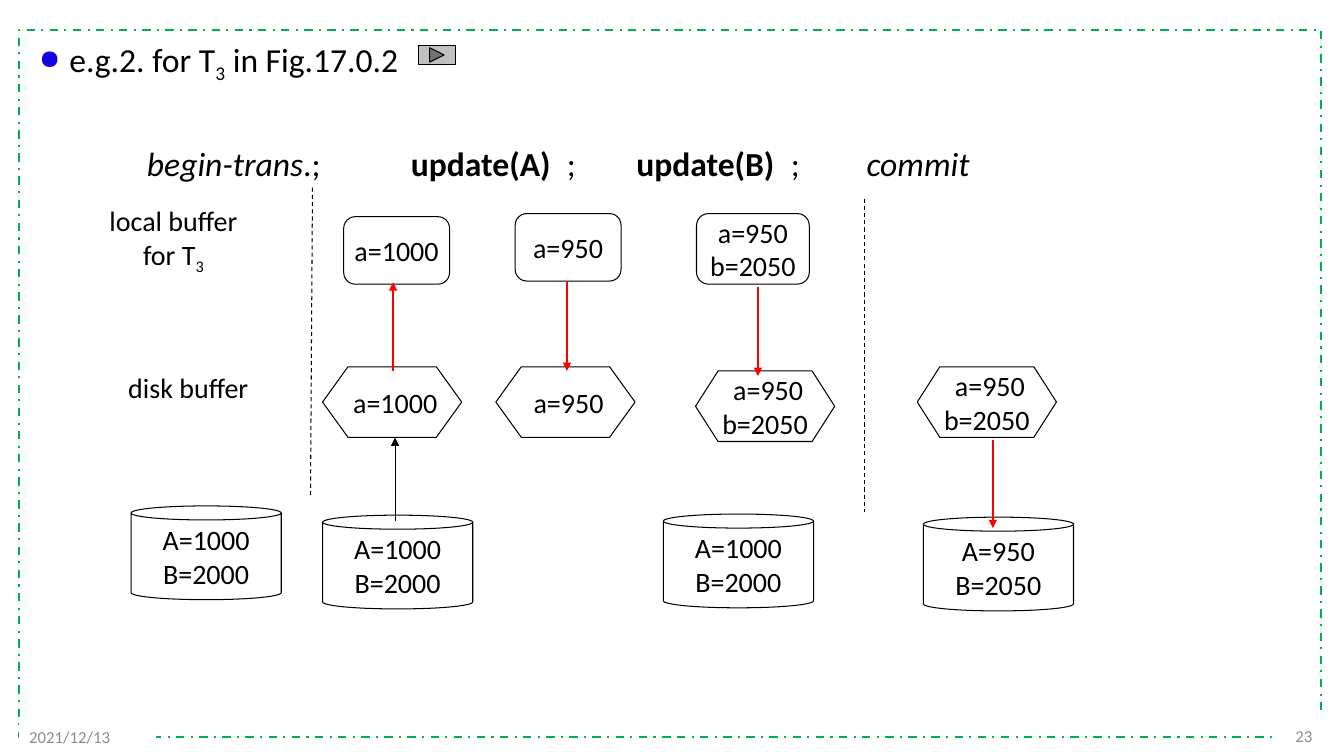
"""Builds a slide tracing the buffers and disk contents of transaction T3."""
from lxml import etree
from pptx import Presentation
from pptx.dml.color import RGBColor
from pptx.enum.dml import MSO_LINE
from pptx.enum.shapes import MSO_CONNECTOR, MSO_SHAPE
from pptx.enum.text import MSO_ANCHOR, PP_ALIGN
from pptx.oxml.ns import qn
from pptx.util import Pt

CAN, HEXAGON, ROUNDED = MSO_SHAPE.CAN, MSO_SHAPE.HEXAGON, MSO_SHAPE.ROUNDED_RECTANGLE
RECTANGLE, FORWARD = MSO_SHAPE.RECTANGLE, MSO_SHAPE.ACTION_BUTTON_FORWARD_OR_NEXT
LEFT, CENTER, RIGHT = PP_ALIGN.LEFT, PP_ALIGN.CENTER, PP_ALIGN.RIGHT
DASH, DASH_DOT = MSO_LINE.DASH, MSO_LINE.DASH_DOT
MIDDLE, TOP = MSO_ANCHOR.MIDDLE, MSO_ANCHOR.TOP
STRAIGHT = MSO_CONNECTOR.STRAIGHT

COLORS = {
    "ink": "000000", "frame": "00B050", "paper": "FFFFFF", "muted": "8C8C8C",
    "bullet": "1404E0", "transfer": "FF0000", "button": "C0C0C0",
}
PLAIN, ITALIC, BOLD, SUB = {}, {"italic": True}, {"bold": True}, {"baseline": "-25000"}

prs = Presentation()
prs.slide_width, prs.slide_height = Pt(960), Pt(540)
slide = prs.slides.add_slide(prs.slide_layouts[6])


def write(holder, lines, size, align=LEFT, color="ink", anchor=TOP, wrap=True):
    """Fill a shape or text box with lines made of (text, format) runs."""
    frame = holder.text_frame
    frame.word_wrap, frame.vertical_anchor = wrap, anchor
    for number, line in enumerate(lines):
        paragraph = frame.paragraphs[0] if number == 0 else frame.add_paragraph()
        paragraph.alignment = align
        for text, extra in line:
            run = paragraph.add_run()
            run.text = text
            run.font.color.rgb = RGBColor.from_string(COLORS[color])
            for key, value in {"name": "Calibri", "size": Pt(size), **extra}.items():
                if key == "baseline":
                    run.font._element.set(key, value)
                else:
                    setattr(run.font, key, value)
    return frame.paragraphs[0]


def draw(kind, box, fill=None, line=None, width=0.75):
    """Add a preset shape with the given fill and outline, either may be absent."""
    shape = slide.shapes.add_shape(kind, *map(Pt, box))
    shape.shadow.inherit = False
    for part, color in ((shape.fill, fill), (shape.line.fill, line)):
        if color:
            part.solid()
            part.fore_color.rgb = RGBColor.from_string(COLORS[color])
        else:
            part.background()
    if line:
        shape.line.width = Pt(width)
    return shape


border = draw(RECTANGLE, (13.7, 21.6, 930.2, 504.7), line="frame", width=1.5)
border.line.dash_style = DASH_DOT

for box, text, align in (
    ((908.6, 511.2, 36, 28.8), "23", RIGHT),
    ((13.7, 511.9, 97.9, 28.1), "2021/12/13", LEFT),
):
    write(draw(RECTANGLE, box, fill="paper"), [[(text, PLAIN)]], 12, align, "muted", MIDDLE)

heading = slide.shapes.add_textbox(Pt(20.9), Pt(24), Pt(923), Pt(40))
heading_line = write(
    heading, [[("e.g.2. for T", PLAIN), ("3", SUB), (" in Fig.17.0.2", PLAIN)]], 24
)
heading_format = heading_line._p.get_or_add_pPr()
heading_format.set("marL", str(Pt(21.6)))
heading_format.set("indent", str(Pt(-21.6)))
bullet_color = etree.SubElement(heading_format, qn("a:buClr"))
etree.SubElement(bullet_color, qn("a:srgbClr"), val=COLORS["bullet"])
etree.SubElement(heading_format, qn("a:buSzPct"), val="80000")
etree.SubElement(heading_format, qn("a:buChar"), char="●")
draw(FORWARD, (298.8, 32.4, 26.6, 13.7), fill="button", line="ink")

operations = slide.shapes.add_textbox(Pt(97.9), Pt(98.6), Pt(640), Pt(36))
operation_line = write(operations, [[
    ("begin-trans", ITALIC), (".;\t", PLAIN), ("update(A)", BOLD), ("\t;\t", PLAIN),
    ("update(B)", BOLD), ("\t;\t", PLAIN), ("commit", ITALIC),
]], 24)
tab_list = etree.SubElement(operation_line._p.get_or_add_pPr(), qn("a:tabLst"))
for stop in (188.5, 300, 349.5, 460, 514):
    etree.SubElement(tab_list, qn("a:tab"), pos=str(Pt(stop)), algn="l")

for box, lines in (
    ((66.4, 141.8, 115, 55.4),
     [[("local buffer", PLAIN)], [("for T", PLAIN), ("3", SUB)]]),
    ((77, 261.4, 115, 31), [[("disk buffer", PLAIN)]]),
):
    row_label = slide.shapes.add_textbox(*map(Pt, box))
    write(row_label, lines, 20, CENTER)

for kind, adjust, box, values in (
    (CAN, 0.15, (93.6, 361.4, 107.3, 67), ("A=1000", "B=2000")),
    (CAN, 0.15, (230.4, 368, 107.3, 67), ("A=1000", "B=2000")),
    (CAN, 0.15, (473.8, 367.2, 107.3, 67), ("A=1000", "B=2000")),
    (CAN, 0.15, (659.5, 369.4, 107.3, 67), ("A=950", "B=2050")),
    (ROUNDED, 0.17, (245.5, 154.8, 75.6, 48.2), ("a=1000",)),
    (ROUNDED, 0.17, (368, 152.6, 75.6, 48.2), ("a=950",)),
    (ROUNDED, 0.17, (497.5, 152.6, 80.6, 50.4), ("a=950", "b=2050")),
    (HEXAGON, 0.36, (230.4, 262, 99.4, 50.4), (" a=1000",)),
    (HEXAGON, 0.36, (354.2, 262, 99.4, 50.4), (" a=950",)),
    (HEXAGON, 0.32, (496.8, 265, 99.4, 50.4), (" a=950", "b=2050")),
    (HEXAGON, 0.32, (655.2, 262, 99.4, 50.4), (" a=950", "b=2050")),
):
    store = draw(kind, box, line="ink")
    store.adjustments[0] = adjust
    write(store, [[(value, PLAIN)] for value in values], 20, CENTER, "ink", MIDDLE, False)

for ends, color, width, dashed in (
    ((223.2, 134, 221.8, 354.2), "ink", 0.75, True),
    ((617.8, 141.8, 617.8, 365.8), "ink", 0.75, True),
    ((282.2, 372.2, 282.2, 312.5), "ink", 0.75, False),
    ((280.8, 265, 280.8, 201.6), "transfer", 1, False),
    ((405, 201.6, 405, 265), "transfer", 1, False),
    ((541.4, 205.2, 541.4, 268.6), "transfer", 1, False),
    ((709.2, 314, 709.2, 377.3), "transfer", 1, False),
):
    link = slide.shapes.add_connector(STRAIGHT, *map(Pt, ends))
    link.line.color.rgb = RGBColor.from_string(COLORS[color])
    link.line.width = Pt(width)
    if dashed:
        link.line.dash_style = DASH
    else:
        etree.SubElement(link.line._get_or_add_ln(), qn("a:tailEnd"), type="triangle")
    etree.SubElement(link._element.spPr, qn("a:effectLst"))

prs.save("out.pptx")
